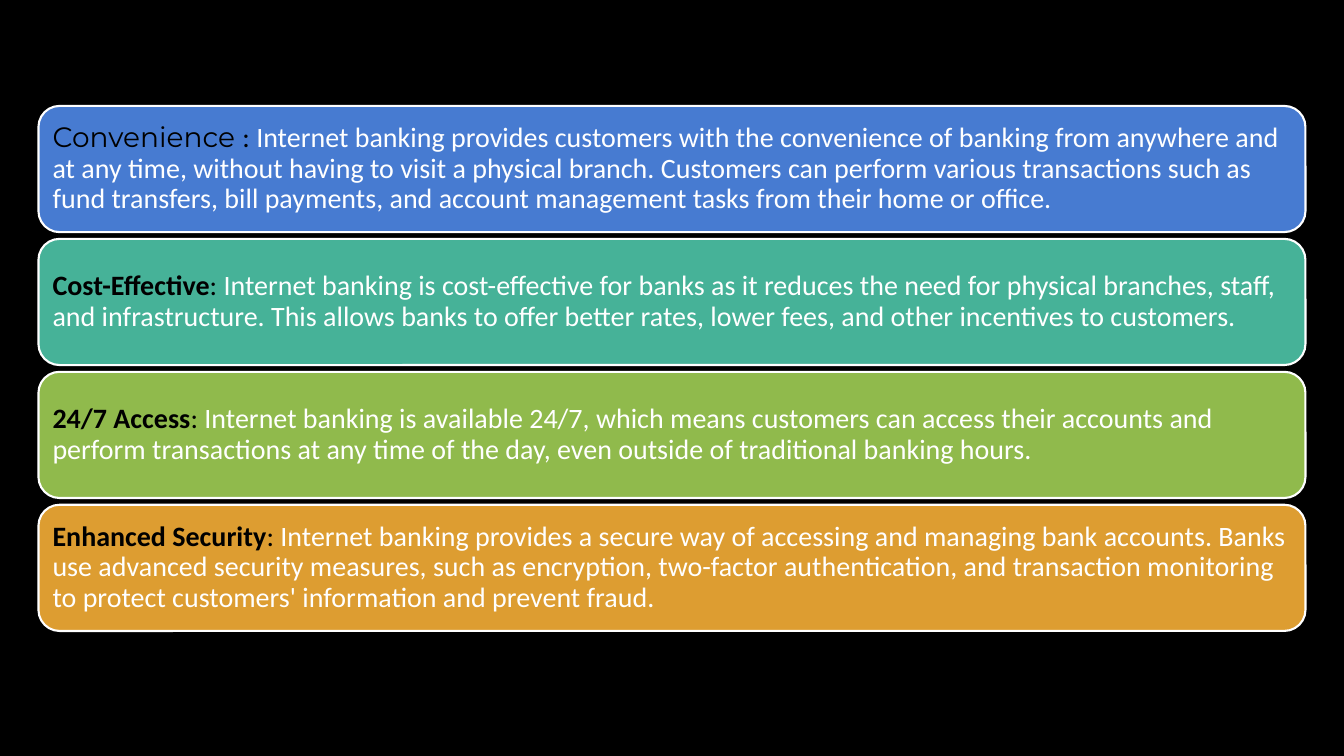
import pptx
import pptx.dml.color
import pptx.enum.shapes
import pptx.enum.text
import pptx.util

Cm = pptx.util.Cm
Pt = pptx.util.Pt
RGBColor = pptx.dml.color.RGBColor

BLACK = RGBColor(0x00, 0x00, 0x00)
WHITE = RGBColor(0xFF, 0xFF, 0xFF)
BLUE = RGBColor(0x47, 0x7B, 0xD1)
TEAL = RGBColor(0x46, 0xB2, 0x98)
GREEN = RGBColor(0x90, 0xBA, 0x4C)
ORANGE = RGBColor(0xDD, 0x9D, 0x31)

BAR_LEFT, BAR_TOP = 0.97, 2.67
BAR_WIDTH, BAR_HEIGHT = 31.93, 3.18
BAR_PITCH = 3.35

# Bar colour, heading, heading font, heading bold, description
BENEFITS = [
    (BLUE, "Convenience ", "Montserrat", False,
     "Internet banking provides customers with the convenience of banking from "
     "anywhere and at any time, without having to visit a physical branch. "
     "Customers can perform various transactions such as fund transfers, bill "
     "payments, and account management tasks from their home or office."),
    (TEAL, "Cost-Effective", "Calibri", True,
     "Internet banking is cost-effective for banks as it reduces the need for "
     "physical branches, staff, and infrastructure. This allows banks to offer "
     "better rates, lower fees, and other incentives to customers."),
    (GREEN, "24/7 Access", "Calibri", True,
     "Internet banking is available 24/7, which means customers can access their "
     "accounts and perform transactions at any time of the day, even outside of "
     "traditional banking hours."),
    (ORANGE, "Enhanced Security", "Calibri", True,
     "Internet banking provides a secure way of accessing and managing bank "
     "accounts. Banks use advanced security measures, such as encryption, "
     "two-factor authentication, and transaction monitoring to protect "
     "customers' information and prevent fraud."),
]


def add_run(paragraph, text, color, font="Calibri", bold=False):
    run = paragraph.add_run()
    run.text = text
    run.font.name = font
    run.font.size = Pt(20)
    run.font.bold = bold
    run.font.color.rgb = color


def add_bar(slide, top, color):
    """Add a rounded bar and return its formatted paragraph."""
    bar = slide.shapes.add_shape(
        pptx.enum.shapes.MSO_SHAPE.ROUNDED_RECTANGLE,
        Cm(BAR_LEFT), Cm(top), Cm(BAR_WIDTH), Cm(BAR_HEIGHT))
    bar.shadow.inherit = False
    bar.fill.solid()
    bar.fill.fore_color.rgb = color
    bar.line.color.rgb = WHITE
    bar.line.width = Pt(1.5)

    frame = bar.text_frame
    frame.word_wrap = True
    frame.vertical_anchor = pptx.enum.text.MSO_ANCHOR.MIDDLE
    frame.margin_left = frame.margin_right = Cm(0.2)
    frame.margin_top = frame.margin_bottom = Cm(0.2)

    paragraph = frame.paragraphs[0]
    paragraph.alignment = pptx.enum.text.PP_ALIGN.LEFT
    paragraph.line_spacing = 0.9
    paragraph.space_after = Pt(7)
    return paragraph


def main():
    presentation = pptx.Presentation()
    presentation.slide_width = Cm(33.87)
    presentation.slide_height = Cm(19.05)
    slide = presentation.slides.add_slide(presentation.slide_layouts[6])

    # Black background
    slide.background.fill.solid()
    slide.background.fill.fore_color.rgb = BLACK

    # Stacked benefit bars
    for row, (color, heading, font, bold, description) in enumerate(BENEFITS):
        benefit = add_bar(slide, BAR_TOP + row * BAR_PITCH, color)
        add_run(benefit, heading, BLACK, font, bold)
        add_run(benefit, ": ", BLACK)
        add_run(benefit, description, WHITE)

    presentation.save("out.pptx")


if __name__ == "__main__":
    main()
